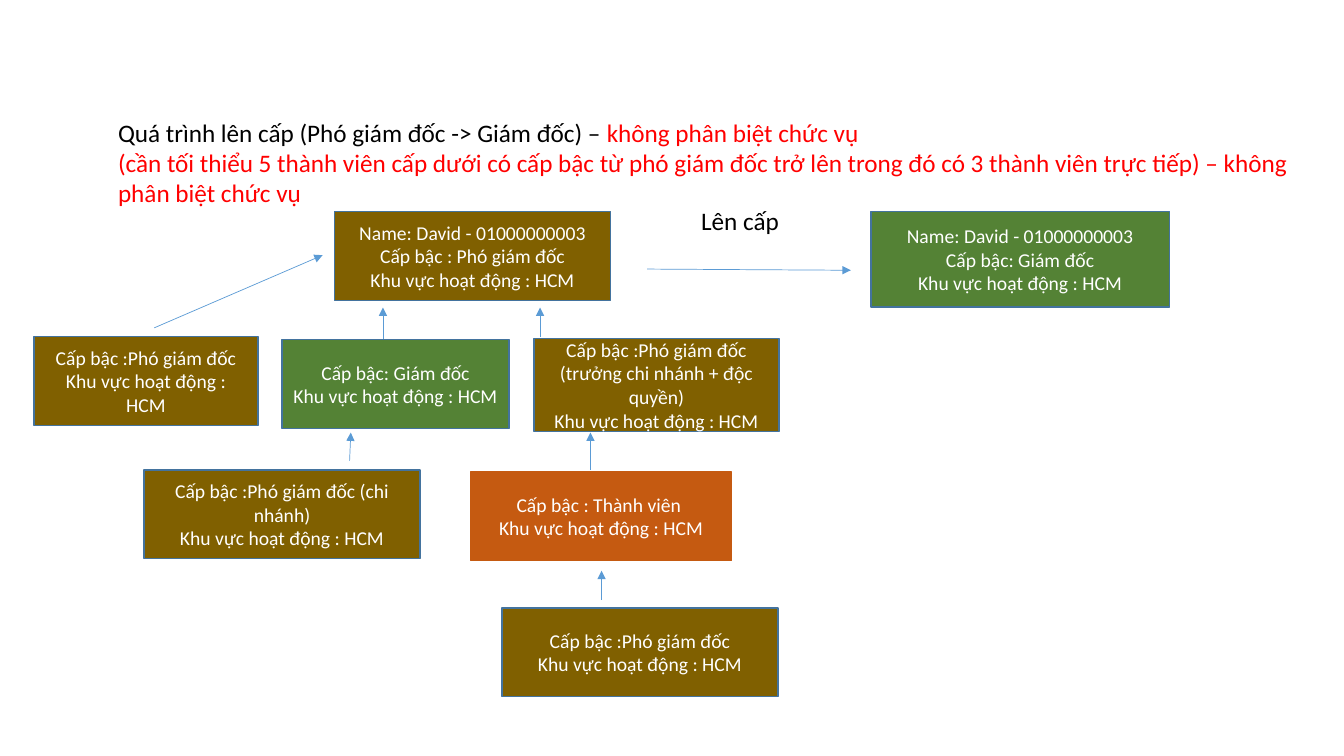
from lxml.etree import SubElement
from pptx import Presentation
from pptx.dml.color import RGBColor
from pptx.enum.shapes import MSO_CONNECTOR, MSO_SHAPE
from pptx.enum.text import MSO_ANCHOR, MSO_AUTO_SIZE, PP_ALIGN
from pptx.oxml.ns import qn
from pptx.util import Cm, Pt

BROWN, GREEN, ORANGE = "806000", "548235", "C55A11"
OUTLINE, ARROW = "43739E", "5B9BD5"
BLACK, RED, WHITE = "000000", "FF0000", "FFFFFF"
REGION = "Khu vực hoạt động : HCM"
DAVID = "Name: David - 01000000003"


def colour(hex_code):
    return RGBColor.from_string(hex_code)


class PromotionSlide:
    font = "Calibri"
    heading_size = Pt(18)
    box_size = Pt(14)

    def __init__(self, presentation):
        self.slide = presentation.slides.add_slide(presentation.slide_layouts[5])

    def add_lines(self, frame, lines, size, align):
        for index, runs in enumerate(lines):
            paragraph = frame.paragraphs[0] if index == 0 else frame.add_paragraph()
            paragraph.alignment = align
            for text, ink in runs:
                run = paragraph.add_run()
                run.text = text
                run.font.name = self.font
                run.font.size = size
                run.font.color.rgb = colour(ink)

    def heading(self, holder, lines):
        frame = holder.text_frame
        frame.word_wrap = False
        frame.auto_size = MSO_AUTO_SIZE.SHAPE_TO_FIT_TEXT
        frame.vertical_anchor = MSO_ANCHOR.TOP
        self.add_lines(frame, lines, self.heading_size, PP_ALIGN.LEFT)

    def title(self, left, top, width, height, lines):
        holder = self.slide.shapes.title
        holder.left, holder.top = Cm(left), Cm(top)
        holder.width, holder.height = Cm(width), Cm(height)
        self.heading(holder, lines)

    def label(self, left, top, width, height, text):
        holder = self.slide.shapes.add_textbox(Cm(left), Cm(top), Cm(width), Cm(height))
        self.heading(holder, [[(text, BLACK)]])

    def box(self, left, top, width, height, fill, lines, outline=OUTLINE):
        member = self.slide.shapes.add_shape(
            MSO_SHAPE.RECTANGLE, Cm(left), Cm(top), Cm(width), Cm(height))
        member.shadow.inherit = False
        member.fill.solid()
        member.fill.fore_color.rgb = colour(fill)
        member.line.color.rgb = colour(outline)
        member.line.width = Pt(1)
        frame = member.text_frame
        frame.word_wrap = True
        frame.vertical_anchor = MSO_ANCHOR.MIDDLE
        runs = [[(line, WHITE)] for line in [*lines, REGION]]
        self.add_lines(frame, runs, self.box_size, PP_ALIGN.CENTER)

    def arrow(self, x1, y1, x2, y2):
        link = self.slide.shapes.add_connector(
            MSO_CONNECTOR.STRAIGHT, Cm(x1), Cm(y1), Cm(x2), Cm(y2))
        link.line.color.rgb = colour(ARROW)
        link.line.width = Pt(0.5)
        properties = link.element.spPr
        SubElement(properties.find(qn("a:ln")), qn("a:tailEnd"), type="triangle")
        SubElement(properties, qn("a:effectLst"))


def main():
    presentation = Presentation()
    presentation.slide_width, presentation.slide_height = Cm(33.87), Cm(19.05)
    promotion = PromotionSlide(presentation)

    promotion.title(2.72, 2.82, 30.25, 2.57, [
        [("Quá trình lên cấp (Phó giám đốc -> Giám đốc) – ", BLACK),
         ("không phân biệt chức vụ", RED)],
        [("(cần tối thiểu 5 thành viên cấp dưới có cấp bậc từ phó giám đốc trở lên "
          "trong đó có 3 thành viên trực tiếp) – không", RED)],
        [("phân biệt chức vụ", RED)],
    ])
    promotion.label(17.42, 5.05, 2.51, 1.02, "Lên cấp")

    promotion.box(8.43, 5.33, 6.96, 2.24, BROWN, [DAVID, "Cấp bậc : Phó giám đốc"])
    promotion.box(21.95, 5.33, 7.52, 2.41, GREEN, [DAVID, "Cấp bậc: Giám đốc"])
    promotion.box(0.86, 8.48, 5.64, 2.24, BROWN, ["Cấp bậc :Phó giám đốc"])
    promotion.box(7.11, 8.56, 5.72, 2.24, GREEN, ["Cấp bậc: Giám đốc"])
    promotion.box(13.46, 8.53, 6.17, 2.34, BROWN,
                  ["Cấp bậc :Phó giám đốc (trưởng chi nhánh + độc quyền)"])
    promotion.box(3.63, 11.84, 6.96, 2.24, BROWN, ["Cấp bậc :Phó giám đốc (chi nhánh)"])
    promotion.box(11.86, 11.89, 6.58, 2.24, ORANGE, ["Cấp bậc : Thành viên "], ORANGE)
    promotion.box(12.65, 15.32, 6.96, 2.24, BROWN, ["Cấp bậc :Phó giám đốc"])

    for ends in [
        (16.31, 6.78, 21.44, 6.81),
        (3.89, 8.26, 8.13, 6.43),
        (9.65, 8.53, 9.65, 7.75),
        (13.61, 8.48, 13.61, 7.75),
        (8.81, 11.61, 8.84, 10.9),
        (14.88, 11.84, 14.88, 10.9),
        (15.16, 15.11, 15.16, 14.38),
    ]:
        promotion.arrow(*ends)

    presentation.save("out.pptx")


if __name__ == "__main__":
    main()
